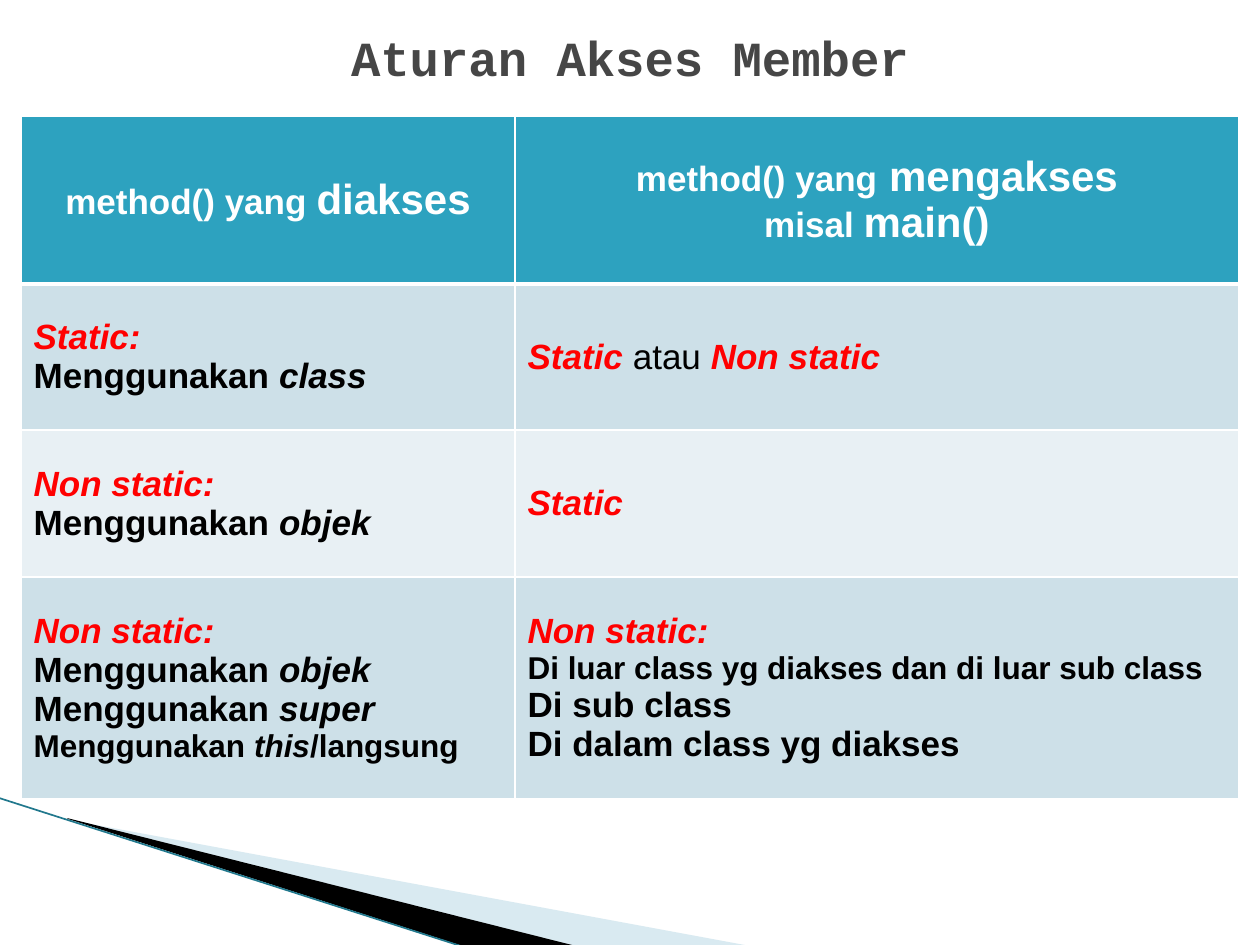
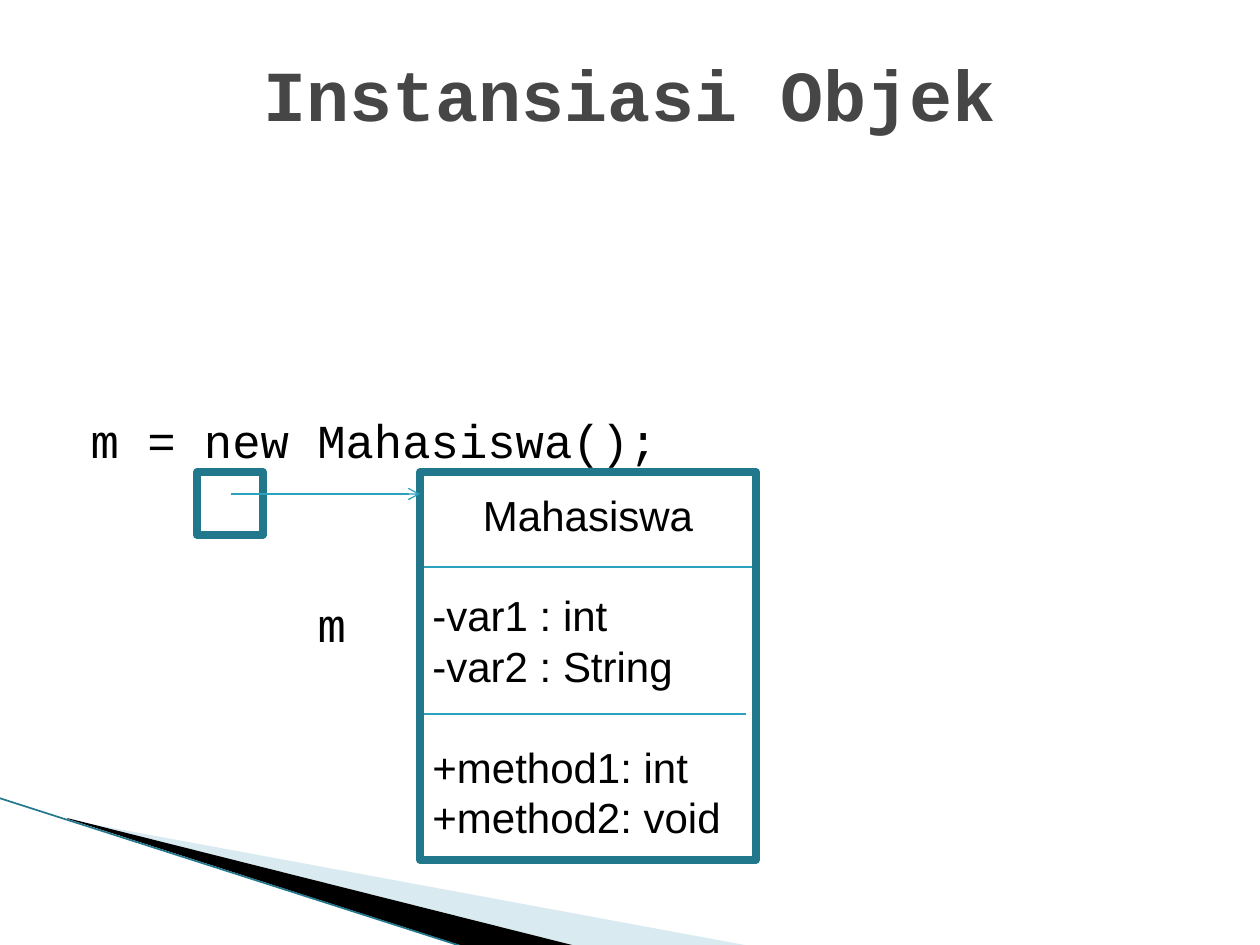
from dataclasses import dataclass

from pptx import Presentation
from pptx.dml.color import RGBColor
from pptx.enum.shapes import MSO_CONNECTOR, MSO_SHAPE
from pptx.enum.text import MSO_ANCHOR, MSO_AUTO_SIZE, PP_ALIGN
from pptx.oxml.ns import qn
from pptx.oxml.xmlchemy import OxmlElement
from pptx.util import Emu, Pt

STRAIGHT = MSO_CONNECTOR.STRAIGHT
RECTANGLE = MSO_SHAPE.RECTANGLE
MIDDLE, TOP = MSO_ANCHOR.MIDDLE, MSO_ANCHOR.TOP
CENTER, LEFT = PP_ALIGN.CENTER, PP_ALIGN.LEFT
NO_AUTOFIT = MSO_AUTO_SIZE.NONE
PX_PER_INCH = 126
TITLE_ONLY, TITLE_AND_BODY = 5, 1


@dataclass(frozen=True)
class Theme:
    sans: str = "Arial"
    mono: str = "Courier New"
    white: str = "FFFFFF"
    black: str = "000000"
    red: str = "FF0000"
    title: str = "464646"
    accent: str = "2DA2BF"
    outline: str = "21788D"
    pale_band: str = "A0CBDC"
    row_dark: str = "CDE0E8"
    row_light: str = "E8F0F4"
    table_title_size: int = 28
    code_title_size: int = 41
    code_size: int = 27
    class_size: int = 24
    class_leading: float = 28.8
    heading_size: int = 24
    cell_size: int = 20
    small_size: int = 18
    hairline: float = 0.75
    band_line: float = 0.95
    box_line: float = 4.33


THEME = Theme()


@dataclass(frozen=True)
class TextStyle:
    size: float
    color: str = THEME.black
    bold: bool = True
    italic: bool = False
    font: str = THEME.sans


HEAD = TextStyle(THEME.cell_size, THEME.white)
HEAD_BIG = TextStyle(THEME.heading_size, THEME.white)
KEYWORD = TextStyle(THEME.cell_size, THEME.red, italic=True)
STRONG = TextStyle(THEME.cell_size)
TERM = TextStyle(THEME.cell_size, italic=True)
PLAIN = TextStyle(THEME.cell_size, bold=False)
SMALL = TextStyle(THEME.small_size)
SMALL_TERM = TextStyle(THEME.small_size, italic=True)
CODE = TextStyle(THEME.code_size, bold=False, font=THEME.mono)
CLASS_TEXT = TextStyle(THEME.class_size, bold=False)

USING_OBJECT = [("Menggunakan ", STRONG), ("objek", TERM)]
NON_STATIC = [("Non static:", KEYWORD)]
ACCESS_HEADER = [
    [[("method() yang ", HEAD), ("diakses", HEAD_BIG)]],
    [[("method() yang", HEAD), (" mengakses", HEAD_BIG)],
     [("misal ", HEAD), ("main()", HEAD_BIG)]],
]
ACCESS_RULES = [
    [[[("Static:", KEYWORD)], [("Menggunakan", STRONG), (" class", TERM)]],
     [[("Static ", KEYWORD), ("atau", PLAIN), (" Non static", KEYWORD)]]],
    [[NON_STATIC, USING_OBJECT],
     [[("Static", KEYWORD)]]],
    [[NON_STATIC, USING_OBJECT,
      [("Menggunakan ", STRONG), ("super", TERM)],
      [("Menggunakan ", SMALL), ("this", SMALL_TERM), ("/langsung", SMALL)]],
     [NON_STATIC,
      [("Di luar class yg diakses dan di luar sub class", SMALL)],
      [("Di sub class", STRONG)],
      [("Di dalam class yg diakses", STRONG)]]],
]
CLASS_SECTIONS = [
    ["Mahasiswa"],
    ["-var1 : int", "-var2 : String"],
    ["+method1: int", "+method2: void"],
]


def px(length):
    return Emu(round(length * 914400 / PX_PER_INCH))


def rgb(color):
    return RGBColor.from_string(color)


def place(shape, box):
    shape.left, shape.top, shape.width, shape.height = map(px, box)


def add_run(paragraph, text, style):
    run = paragraph.add_run()
    run.text = text
    run.font.name = style.font
    run.font.size = Pt(style.size)
    run.font.bold = style.bold
    run.font.italic = style.italic
    run.font.color.rgb = rgb(style.color)


def next_paragraph(text_frame, index):
    return text_frame.add_paragraph() if index else text_frame.paragraphs[0]


def add_line(slide, start, end, color, width, arrow=False):
    line = slide.shapes.add_connector(STRAIGHT, *map(px, start + end))
    line.line.color.rgb = rgb(color)
    line.line.width = Pt(width)
    properties = line.element.spPr
    if arrow:
        tail = OxmlElement("a:tailEnd")
        tail.set("type", "arrow")
        properties.find(qn("a:ln")).append(tail)
    properties.append(OxmlElement("a:effectLst"))
    return line


def add_outline_box(slide, box):
    shape = slide.shapes.add_shape(RECTANGLE, *map(px, box))
    shape.shadow.inherit = False
    shape.fill.background()
    shape.line.color.rgb = rgb(THEME.outline)
    shape.line.width = Pt(THEME.box_line)


def add_band(slide, points, color, opacity=None):
    start, *others = [tuple(map(px, point)) for point in points]
    builder = slide.shapes.build_freeform(*start)
    builder.add_line_segments(others, close=True)
    band = builder.convert_to_shape()
    band.shadow.inherit = False
    band.fill.solid()
    band.fill.fore_color.rgb = rgb(color)
    band.line.fill.background()
    if opacity is not None:
        alpha = OxmlElement("a:alpha")
        alpha.set("val", str(opacity * 1000))
        band.element.spPr.find(".//" + qn("a:srgbClr")).append(alpha)
    return band


def move_bands_to_master(presentation, slide):
    """Draw the corner bands on a slide, then hand them to the slide master."""
    bands = [
        add_band(slide, [(69, 820), (750, 946), (575, 946), (69, 819)],
                 THEME.pale_band, opacity=40),
        add_band(slide, [(67, 818), (576, 946), (469, 948), (68, 819)], THEME.black),
        add_line(slide, (-1, 798), (467, 948), THEME.outline, THEME.band_line),
    ]
    for band in bands:
        presentation.slide_master.shapes.element.append(band.element)


def set_title(slide, text, size, box):
    title = slide.shapes.title
    place(title, box)
    text_frame = title.text_frame
    text_frame.auto_size = NO_AUTOFIT
    text_frame.vertical_anchor = MIDDLE
    paragraph = text_frame.paragraphs[0]
    paragraph.alignment = CENTER
    add_run(paragraph, text, TextStyle(size, THEME.title, font=THEME.mono))


def set_borders(cell, top, bottom):
    properties = cell._tc.get_or_add_tcPr()
    for side, width in (("L", 1), ("R", 1), ("T", top), ("B", bottom)):
        border = OxmlElement(f"a:ln{side}")
        border.set("w", str(Pt(width)))
        fill = OxmlElement("a:solidFill")
        color = OxmlElement("a:srgbClr")
        color.set("val", THEME.white)
        fill.append(color)
        border.append(fill)
        properties.append(border)


def fill_cell(cell, paragraphs, fill, alignment, top, bottom):
    set_borders(cell, top, bottom)
    cell.fill.solid()
    cell.fill.fore_color.rgb = rgb(fill)
    cell.vertical_anchor = MIDDLE
    for index, runs in enumerate(paragraphs):
        paragraph = next_paragraph(cell.text_frame, index)
        paragraph.alignment = alignment
        for text, style in runs:
            add_run(paragraph, text, style)


def add_access_table(slide, left, top):
    widths, heights = (494, 724), (168, 146, 147, 222)
    rows = [ACCESS_HEADER, *ACCESS_RULES]
    box = (left, top, sum(widths), sum(heights))
    table = slide.shapes.add_table(len(rows), len(widths), *map(px, box)).table
    for column, width in zip(table.columns, widths):
        column.width = px(width)
    for index, (row, height) in enumerate(zip(rows, heights)):
        table.rows[index].height = px(height)
        header = index == 0
        fill = THEME.accent if header else (THEME.row_light, THEME.row_dark)[index % 2]
        for column, paragraphs in enumerate(row):
            fill_cell(table.cell(index, column), paragraphs, fill,
                      CENTER if header else LEFT,
                      top=3 if index == 1 else 1, bottom=3 if header else 1)


def set_code_body(slide, box):
    body = slide.placeholders[1]
    place(body, box)
    text_frame = body.text_frame
    text_frame.auto_size = NO_AUTOFIT
    text_frame.vertical_anchor = TOP
    text_frame.margin_top = px(253)
    lines = [("m = new Mahasiswa();", 15, 0), ("m", 242, 73)]
    for index, (text, indent, space_before) in enumerate(lines):
        paragraph = next_paragraph(text_frame, index)
        properties = paragraph._p.get_or_add_pPr()
        properties.set("marL", str(px(indent)))
        properties.set("indent", "0")
        properties.append(OxmlElement("a:buNone"))
        paragraph.space_before = Pt(space_before)
        add_run(paragraph, text, CODE)


def add_class_text(slide, box):
    text_box = slide.shapes.add_textbox(*map(px, box))
    text_frame = text_box.text_frame
    text_frame.word_wrap = True
    text_frame.margin_top = px(6)
    count = 0
    for section_index, section in enumerate(CLASS_SECTIONS):
        for line_index, text in enumerate(section):
            paragraph = next_paragraph(text_frame, count)
            paragraph.alignment = LEFT if section_index else CENTER
            paragraph.line_spacing = Pt(THEME.class_leading)
            if section_index and not line_index:
                paragraph.space_before = Pt(THEME.class_leading)
            add_run(paragraph, text, CLASS_TEXT)
            count += 1


def add_class_diagram(slide, box):
    left, top, width, height = box
    add_class_text(slide, (left, top + 11, width, height - 19))
    for offset, length in ((95, width), (242, width - 10)):
        add_line(slide, (left, top + offset), (left + length, top + offset),
                 THEME.accent, THEME.hairline)
    add_outline_box(slide, box)


def add_reference(slide, box, target_left):
    """Draw the variable's box and the arrow from it to the object."""
    left, top, _, _ = box
    add_outline_box(slide, box)
    add_line(slide, (left + 34, top + 22), (target_left, top + 22),
             THEME.accent, THEME.hairline, arrow=True)


def build_access_slide(slide):
    set_title(slide, "Aturan Akses Member", THEME.table_title_size, (63, 21, 1134, 71))
    add_access_table(slide, 21, 116)


def build_instance_slide(slide):
    set_title(slide, "Instansiasi Objek", THEME.code_title_size, (63, 38, 1134, 110))
    set_code_body(slide, (63, 158, 1134, 699))
    class_box = (420, 472, 336, 388)
    add_class_diagram(slide, class_box)
    add_reference(slide, (197, 472, 66, 63), class_box[0])


def main():
    presentation = Presentation()
    presentation.slide_width, presentation.slide_height = px(1260), px(945)
    layouts = presentation.slide_layouts
    access_slide = presentation.slides.add_slide(layouts[TITLE_ONLY])
    instance_slide = presentation.slides.add_slide(layouts[TITLE_AND_BODY])
    move_bands_to_master(presentation, access_slide)
    build_access_slide(access_slide)
    build_instance_slide(instance_slide)
    presentation.save("out.pptx")


if __name__ == "__main__":
    main()
